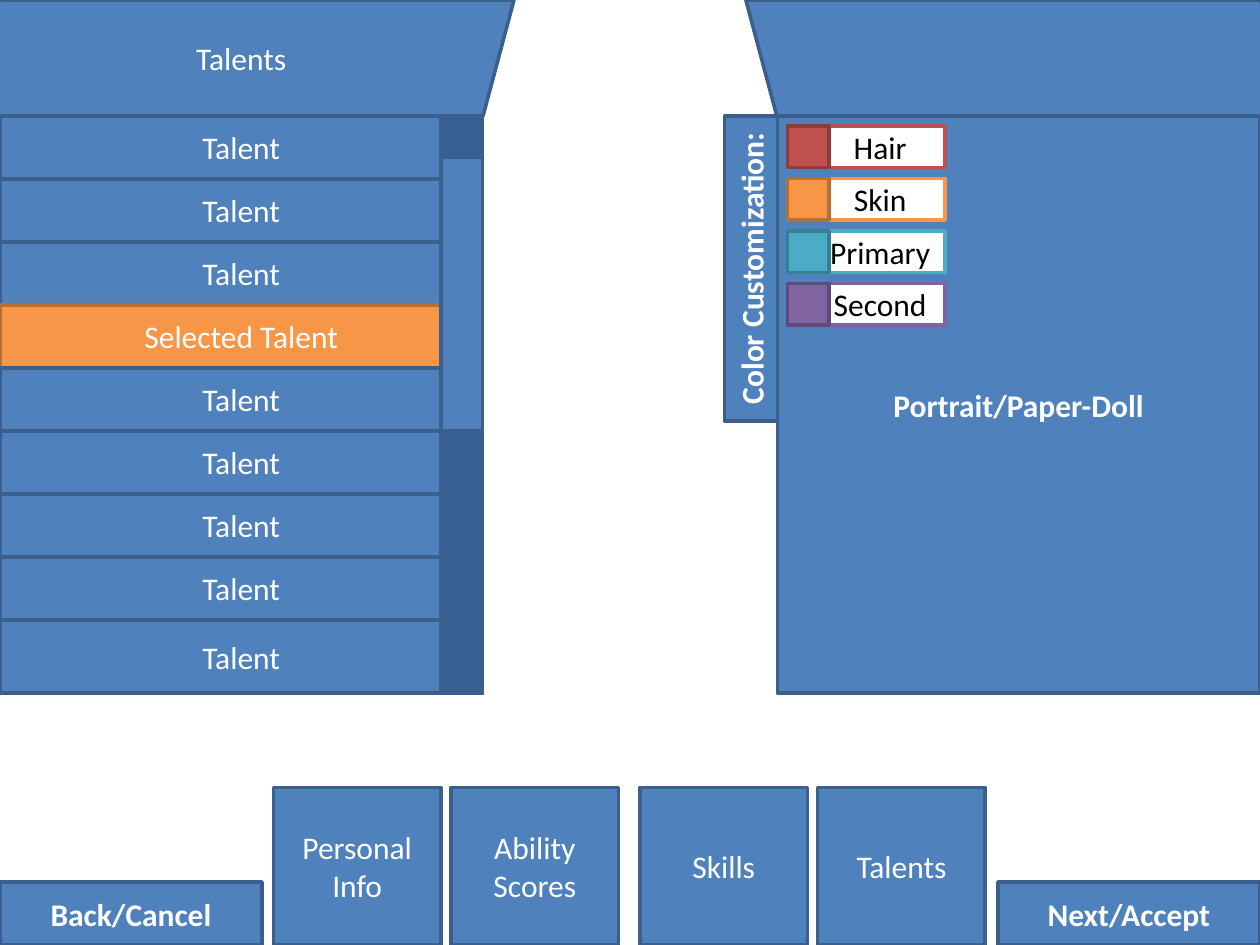
from pptx import Presentation
from pptx import util as u
from pptx.dml.color import RGBColor
from pptx.enum import shapes, text

# Content
COLORS = {
    "blue": "4F81BD", "blue_edge": "3A5F8C", "track": "376092",
    "red": "C0504D", "red_edge": "8E3B39",
    "orange": "F79646", "orange_edge": "B76F34",
    "teal": "4BACC6", "teal_edge": "377F92",
    "purple": "8064A2", "purple_edge": "5F4A78",
    "white": "FFFFFF", "black": "000000",
}
TALENTS = ["Talent"] * 3 + ["Selected Talent"] + ["Talent"] * 5
SELECTED = 3
SWATCHES = [("Hair", "red"), ("Skin", "orange"), ("Primary", "teal"), ("Second", "purple")]
TABS = ["Personal Info", "Ability Scores", "Skills", "Talents"]
NAVIGATION = [("Back/Cancel", 0), ("Next/Accept", 7.92)]

# Layout, in inches
SLIDE_WIDTH, SLIDE_HEIGHT = 10, 7.5
PANEL_TOP, PANEL_WIDTH, PANEL_HEIGHT = 0.92, 3.83, 4.58
PANEL_BOTTOM = PANEL_TOP + PANEL_HEIGHT
PORTRAIT_LEFT = SLIDE_WIDTH - PANEL_WIDTH
ROW_HEIGHT = 0.5
BAR_LEFT, BAR_WIDTH = 3.5, 0.33
HEADER_WIDTH, HEADER_OVERHANG, HEADER_SLANT = 4.33, 0.25, 0.267
SWATCH_LEFT, SWATCH_TOP, SWATCH_SIZE = 6.25, 1, 0.33
SWATCH_STEP, SWATCH_WIDTH = 1.25 / 3, 1.25
TAB_LEFT, TAB_WIDTH, TAB_HEIGHT = 2.17, 1.33, 1.25
TAB_GAP, TAB_MIDDLE_GAP = 0.08, 0.09
NAV_WIDTH, NAV_HEIGHT = 2.08, 0.5

deck = Presentation()
deck.slide_width, deck.slide_height = u.Inches(SLIDE_WIDTH), u.Inches(SLIDE_HEIGHT)
page = deck.slides.add_slide(deck.slide_layouts[6])


def color(name):
    return RGBColor.from_string(COLORS[name])


def add_box(left, top, width, height, label="", fill="blue", edge="blue_edge",
            ink="white", bold=False, kind=shapes.MSO_SHAPE.RECTANGLE):
    box = page.shapes.add_shape(kind, *map(u.Inches, (left, top, width, height)))
    box.shadow.inherit = False
    box.fill.solid()
    box.fill.fore_color.rgb = color(fill)
    box.line.color.rgb = color(edge)
    box.line.width = u.Pt(2)
    if label:
        frame = box.text_frame
        frame.text = label
        frame.word_wrap = True
        frame.vertical_anchor = text.MSO_ANCHOR.MIDDLE
        para = frame.paragraphs[0]
        para.alignment = text.PP_ALIGN.CENTER
        font = para.runs[0].font
        font.name, font.size, font.bold = "Calibri", u.Pt(18), bold
        font.color.rgb = color(ink)
    return box


def add_header(left, label="", mirrored=False):
    header = add_box(left, 0, HEADER_WIDTH, PANEL_TOP, label,
                     kind=shapes.MSO_SHAPE.PARALLELOGRAM)
    header.adjustments[0] = HEADER_SLANT
    if mirrored:
        header._element.spPr.xfrm.set("flipH", "1")


# Talent list: the last row fills what is left of the panel
add_box(0, PANEL_TOP, PANEL_WIDTH, PANEL_HEIGHT)
for index, talent in enumerate(TALENTS):
    top = PANEL_TOP + index * ROW_HEIGHT
    height = PANEL_BOTTOM - top if index == len(TALENTS) - 1 else ROW_HEIGHT
    tone = "orange" if index == SELECTED else "blue"
    add_box(0, top, PANEL_WIDTH, height, talent, tone, tone + "_edge")

# Portrait panel
add_box(PORTRAIT_LEFT, PANEL_TOP, PANEL_WIDTH, PANEL_HEIGHT, "Portrait/Paper-Doll", bold=True)
add_header(SLIDE_WIDTH + HEADER_OVERHANG - HEADER_WIDTH, mirrored=True)

# Colour choices
for index, (label, tone) in enumerate(SWATCHES):
    top = SWATCH_TOP + index * SWATCH_STEP
    choice = add_box(SWATCH_LEFT, top, SWATCH_WIDTH, SWATCH_SIZE, label, "white", tone, "black")
    choice.text_frame.margin_left = u.Inches(0.3)
    choice.text_frame.margin_right = u.Inches(0.08)
    add_box(SWATCH_LEFT, top, SWATCH_SIZE, SWATCH_SIZE, fill=tone, edge=tone + "_edge")
side_tab = add_box(4.75, 1.92, 2.42, 0.42, "Color Customization:", bold=True)
side_tab.rotation = 270

# Bottom navigation
for label, left in NAVIGATION:
    add_box(left, SLIDE_HEIGHT - NAV_HEIGHT, NAV_WIDTH, NAV_HEIGHT, label, bold=True)
for index, label in enumerate(TABS):
    left = TAB_LEFT + index * (TAB_WIDTH + TAB_GAP) + index // 2 * TAB_MIDDLE_GAP
    add_box(left, SLIDE_HEIGHT - TAB_HEIGHT, TAB_WIDTH, TAB_HEIGHT, label)

# Talent header and scroll bar
add_header(-HEADER_OVERHANG, "Talents")
add_box(BAR_LEFT, PANEL_TOP, BAR_WIDTH, PANEL_HEIGHT, fill="track")
add_box(BAR_LEFT, 1.25, BAR_WIDTH, 2.17)

deck.save("out.pptx")
